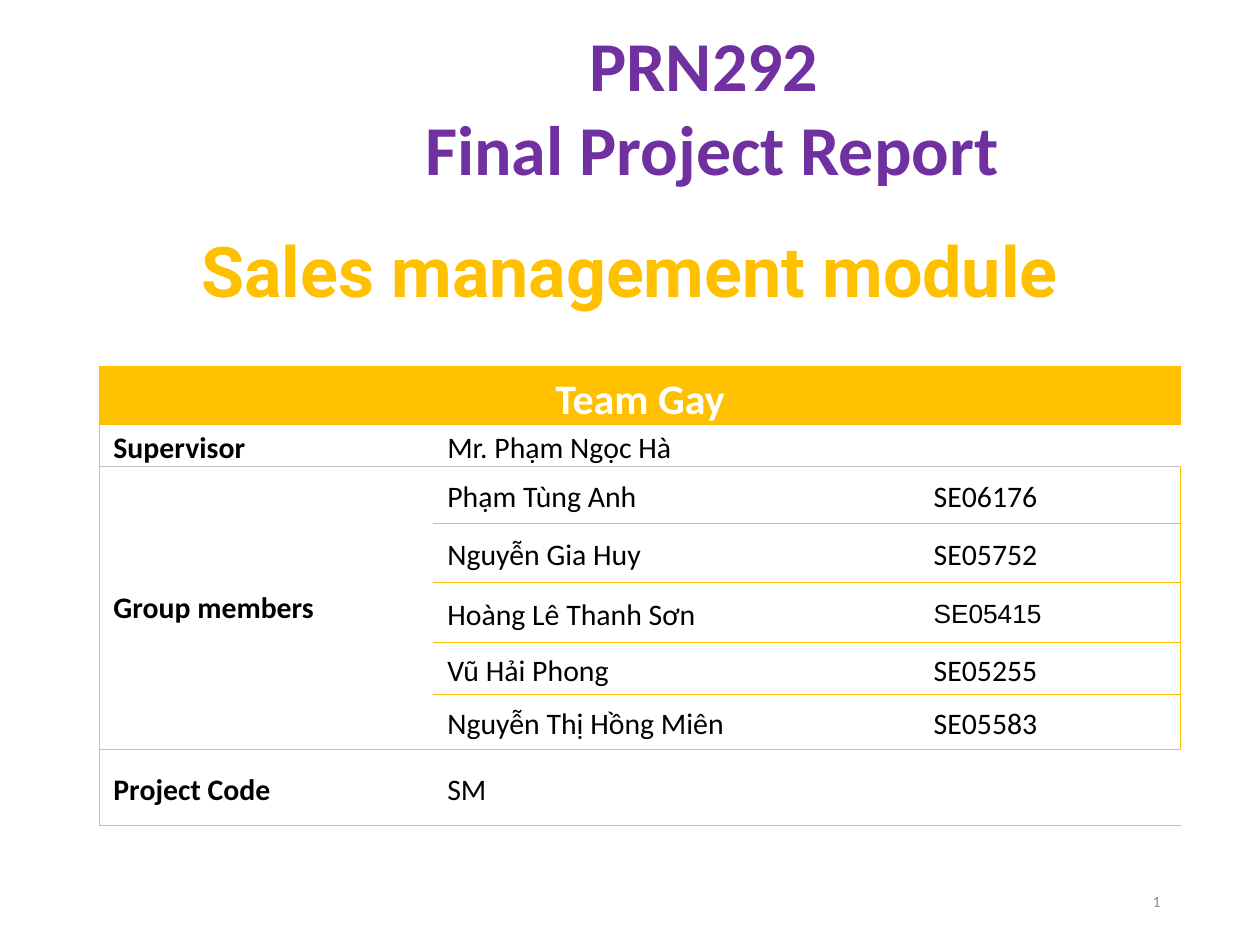
from dataclasses import dataclass

import pptx
import pptx.dml.color
import pptx.enum.text
import pptx.oxml
import pptx.oxml.ns
import pptx.util

Inches = pptx.util.Inches
RGBColor = pptx.dml.color.RGBColor
Align = pptx.enum.text.PP_ALIGN
Anchor = pptx.enum.text.MSO_ANCHOR
AutoSize = pptx.enum.text.MSO_AUTO_SIZE

PURPLE = RGBColor(0x70, 0x30, 0xA0)
GOLD = RGBColor(0xFF, 0xC0, 0x00)
SILVER = RGBColor(0xBF, 0xBF, 0xBF)
GRAY = RGBColor(0x8C, 0x8C, 0x8C)
BLACK = RGBColor(0x00, 0x00, 0x00)
WHITE = RGBColor(0xFF, 0xFF, 0xFF)

COLUMN_WIDTHS = (2.65, 2.57, 1.29, 2.07)
HEADER_HEIGHT, SUPERVISOR_HEIGHT, CODE_HEIGHT = 0.46, 0.33, 0.6


@dataclass(frozen=True)
class Member:
    name: str
    code: str
    height: float
    code_font: str = "Calibri"
    code_size: float = 17


MEMBERS = (
    Member("Phạm Tùng Anh", "SE06176", 0.45),
    Member("Nguyễn Gia Huy", "SE05752", 0.47),
    Member("Hoàng Lê Thanh Sơn", "SE05415", 0.48, "Arial", 15),
    Member("Vũ Hải Phong", "SE05255", 0.41),
    Member("Nguyễn Thị Hồng Miên", "SE05583", 0.44),
)
FIRST_MEMBER = 2
LAST_MEMBER = FIRST_MEMBER + len(MEMBERS) - 1
CODE_ROW = LAST_MEMBER + 1


def write_text(frame, text: str, *, size: float = 17, font: str = "Calibri",
               color: RGBColor = BLACK, bold: bool = False, align=Align.LEFT,
               spacing: float = 1.0, margin: float = 0) -> None:
    for index, line in enumerate(text.split("\n")):
        paragraph = frame.paragraphs[0] if index == 0 else frame.add_paragraph()
        paragraph.alignment = align
        paragraph.line_spacing = spacing
        paragraph.space_before = paragraph.space_after = pptx.util.Pt(margin)
        run = paragraph.add_run()
        run.text = line
        run.font.size = pptx.util.Pt(size)
        run.font.name = font
        run.font.bold = bold
        run.font.color.rgb = color


def write_cell(cell, text: str, *, spacing: float = 1.15, **style) -> None:
    cell.margin_left = cell.margin_right = Inches(0.11)
    cell.margin_top = cell.margin_bottom = 0
    cell.vertical_anchor = Anchor.MIDDLE
    write_text(cell.text_frame, text, spacing=spacing, margin=3, **style)


def edge_below(row: int, column: int) -> RGBColor | None:
    if row == 0:
        return GOLD
    if row in (1, LAST_MEMBER, CODE_ROW):
        return SILVER
    return GOLD if column > 0 else None


def border_cell(cell, row: int, column: int) -> None:
    last_column = len(COLUMN_WIDTHS) - 1
    edges = {
        "lnL": (GOLD if row == 0 else SILVER) if column == 0 else None,
        "lnR": GOLD if column == last_column else None,
        "lnT": edge_below(row - 1, column) if row else GOLD,
        "lnB": edge_below(row, column),
    }
    properties = cell._tc.get_or_add_tcPr()
    for index, (tag, color) in enumerate(edges.items()):
        fill = f'<a:solidFill><a:srgbClr val="{color}"/></a:solidFill>' if color else "<a:noFill/>"
        properties.insert(index, pptx.oxml.parse_xml(
            f'<a:{tag} {pptx.oxml.ns.nsdecls("a")} w="6350">{fill}</a:{tag}>'))


def add_team_table(slide) -> None:
    heights = (HEADER_HEIGHT, SUPERVISOR_HEIGHT, *(member.height for member in MEMBERS), CODE_HEIGHT)
    table = slide.shapes.add_table(
        len(heights), len(COLUMN_WIDTHS), Inches(0.79), Inches(2.91),
        Inches(sum(COLUMN_WIDTHS)), Inches(sum(heights))).table
    table.first_row = table.horz_banding = False
    for column, width in zip(table.columns, COLUMN_WIDTHS):
        column.width = Inches(width)
    for row_index, height in enumerate(heights):
        table.rows[row_index].height = Inches(height)
        for column_index in range(len(COLUMN_WIDTHS)):
            cell = table.cell(row_index, column_index)
            if row_index == 0:
                cell.fill.solid()
                cell.fill.fore_color.rgb = GOLD
            else:
                cell.fill.background()
            border_cell(cell, row_index, column_index)

    table.cell(0, 0).merge(table.cell(0, 3))
    table.cell(FIRST_MEMBER, 0).merge(table.cell(LAST_MEMBER, 0))
    write_cell(table.cell(0, 0), "Team Gay", size=24, color=WHITE, bold=True, align=Align.CENTER)
    for row_index, label, value in ((1, "Supervisor", "Mr. Phạm Ngọc Hà"), (CODE_ROW, "Project Code", "SM")):
        table.cell(row_index, 1).merge(table.cell(row_index, 3))
        write_cell(table.cell(row_index, 0), label, bold=True)
        write_cell(table.cell(row_index, 1), value)
    write_cell(table.cell(FIRST_MEMBER, 0), "Group members", bold=True, spacing=1.0)
    for row_index, member in enumerate(MEMBERS, FIRST_MEMBER):
        write_cell(table.cell(row_index, 1), member.name)
        write_cell(table.cell(row_index, 3), member.code, font=member.code_font, size=member.code_size)


def main() -> None:
    presentation = pptx.Presentation()
    presentation.slide_width, presentation.slide_height = Inches(10), Inches(7.5)
    slide = presentation.slides.add_slide(presentation.slide_layouts[5])

    subject = slide.shapes.add_textbox(Inches(1.05), Inches(1.76), Inches(7.89), Inches(0.77))
    subject.text_frame.word_wrap = False
    subject.text_frame.auto_size = AutoSize.SHAPE_TO_FIT_TEXT
    write_text(subject.text_frame, "Sales management module", size=40, font="Roboto",
               color=GOLD, bold=True, align=Align.CENTER)

    add_team_table(slide)

    title = slide.shapes.title
    title.left, title.top, title.width, title.height = map(Inches, (3.25, 0.12, 4.8, 1.45))
    title.text_frame.word_wrap = False
    title.text_frame.auto_size = AutoSize.SHAPE_TO_FIT_TEXT
    title.text_frame.vertical_anchor = Anchor.TOP
    write_text(title.text_frame, "PRN292 \nFinal Project Report", size=40, color=PURPLE,
               bold=True, align=Align.CENTER)

    number = slide.shapes.add_textbox(Inches(7.06), Inches(6.95), Inches(2.25), Inches(0.4))
    number.text_frame.word_wrap = True
    number.text_frame.vertical_anchor = Anchor.MIDDLE
    write_text(number.text_frame, "1", size=9, color=GRAY, align=Align.RIGHT)

    presentation.save("out.pptx")


if __name__ == "__main__":
    main()
